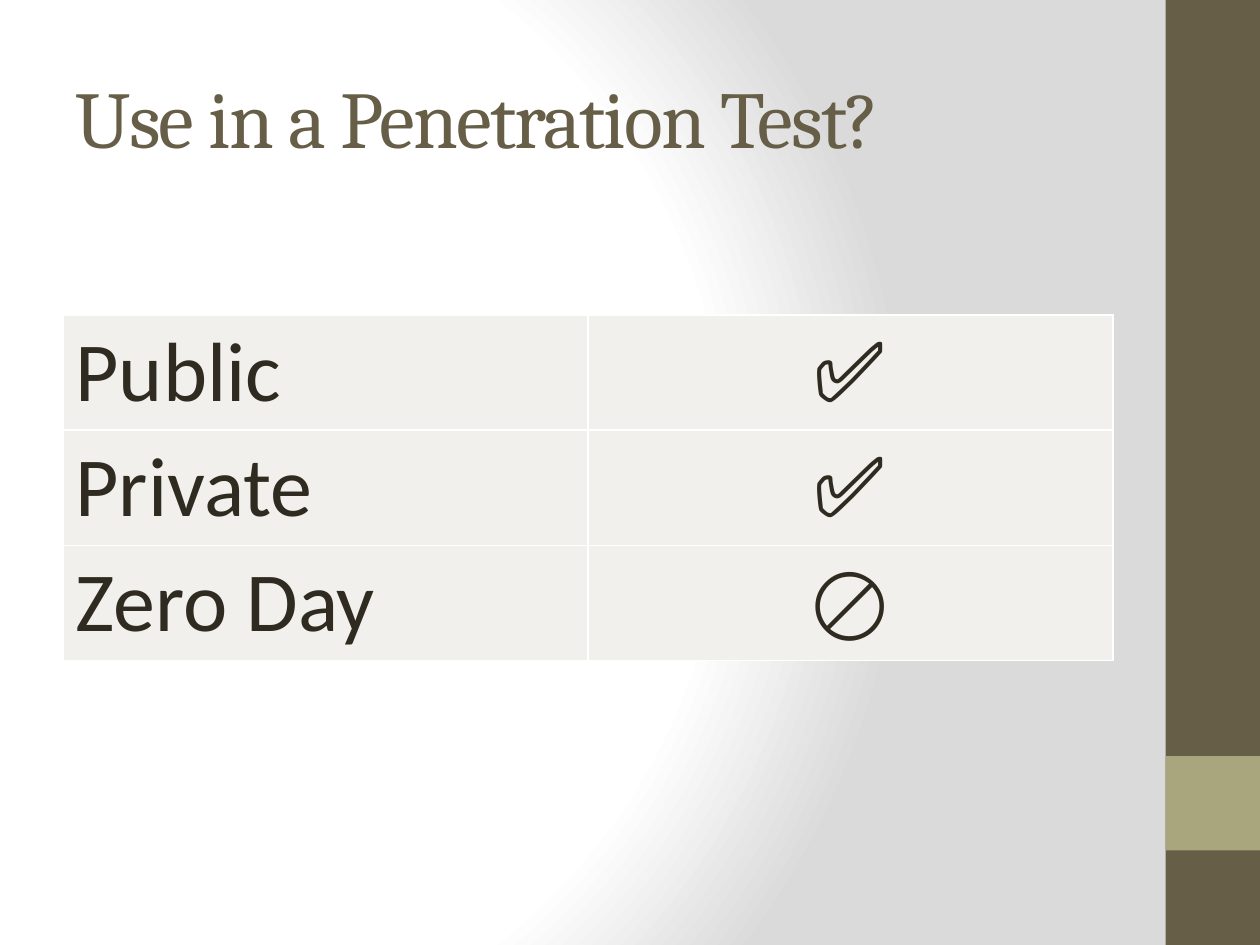
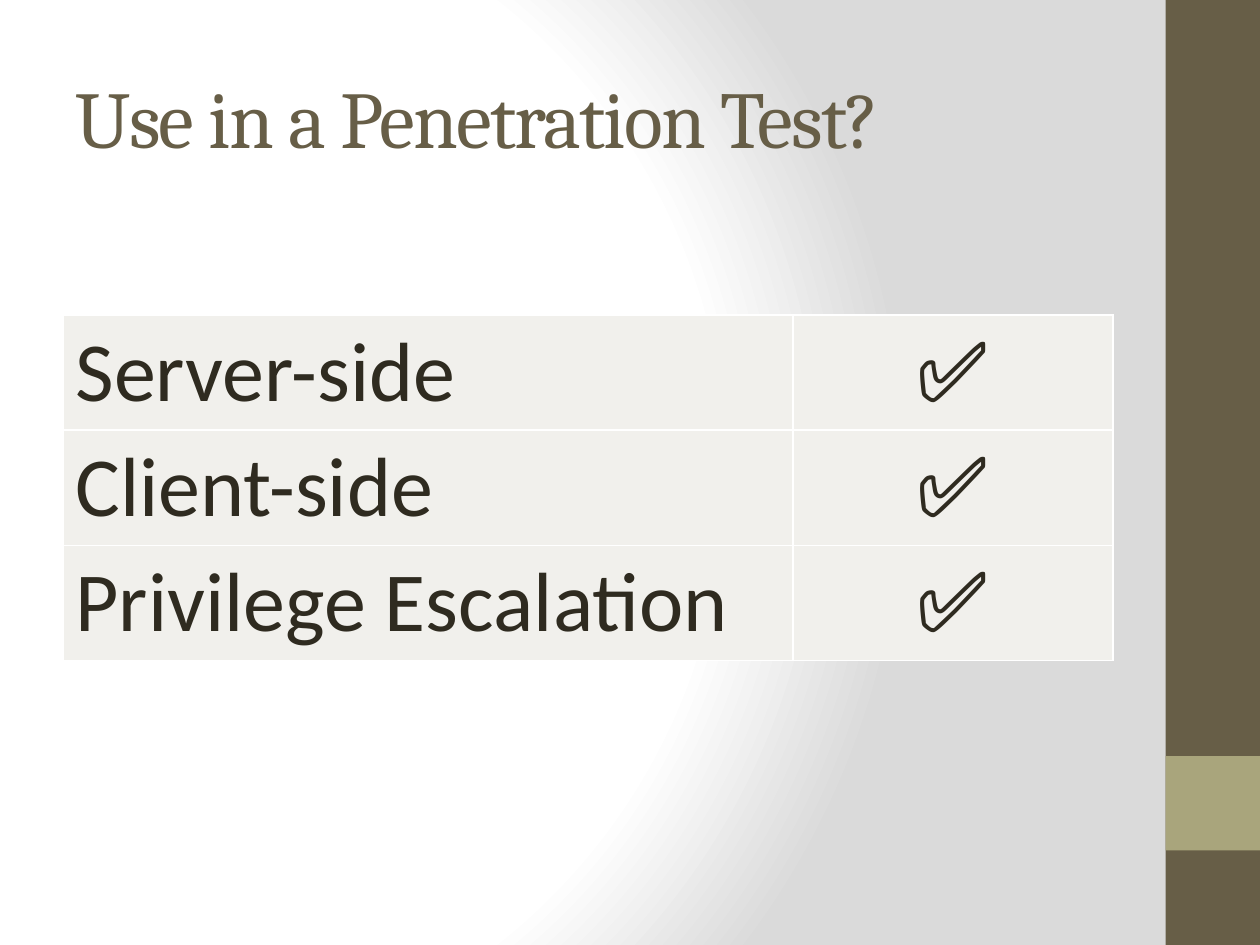
from dataclasses import dataclass

from lxml import etree
from pptx import Presentation
from pptx import util as u
from pptx.dml.color import RGBColor
from pptx.enum import shapes, text
from pptx.oxml import ns, parse_xml


@dataclass(frozen=True)
class Theme:
    dark: str = "675E47"
    light: str = "A9A57C"
    ink: str = "2F2B20"
    cell: str = "F1F0EC"
    rule: str = "FFFFFF"
    stops: tuple = ((0, "FFFFFF"), (75, "FFFFFF"), (100, "DADADA"))
    head: str = "Cambria"
    body: str = "Calibri"
    big: int = 46
    size: int = 48


T = Theme()
WIDE, HIGH = 25.4, 19.05
BAND = (23.5, 0, 1.9, HIGH)
HEAD = (1.27, 0.76, 21.17, 3.18)
GRID = (1.27, 6.35, 21.17, 6.96)
YES, NO = "✅", "🚫"
TITLE = "Use in a Penetration Test?"
PAGES = (
    (0.5, (("Public", YES), ("Private", YES), ("Zero Day", NO))),
    (0.695, (("Server-side", YES), ("Client-side", YES),
             ("Privilege Escalation", YES))),
)


def cm(box):
    return [u.Cm(v) for v in box]


def color(code):
    return RGBColor.from_string(code)


def write(para, words, font, size, code):
    run = para.add_run()
    run.text = words
    run.font.name = font
    run.font.size = u.Pt(size)
    run.font.color.rgb = color(code)
    return run


def paint(master):
    master.background.fill.gradient()
    old = master.element.find(".//" + ns.qn("a:gradFill"))
    stops = "".join(
        f'<a:gs pos="{pos * 1000}"><a:srgbClr val="{code}"/></a:gs>'
        for pos, code in T.stops)
    new = parse_xml(
        f'<a:gradFill {ns.nsdecls("a")} rotWithShape="1">'
        f'<a:gsLst>{stops}</a:gsLst><a:path path="circle">'
        '<a:fillToRect l="20000" t="50000" r="100000" b="50000"/>'
        '</a:path></a:gradFill>')
    old.getparent().replace(old, new)


def band(slide, box):
    left, top, width, height = box
    accent = (left, top + height * 0.8, width, height * 0.1)
    for part, code in ((box, T.dark), (accent, T.light)):
        rect = slide.shapes.add_shape(shapes.MSO_SHAPE.RECTANGLE, *cm(part))
        rect.shadow.inherit = False
        rect.fill.solid()
        rect.fill.fore_color.rgb = color(code)
        rect.line.fill.background()


def title(slide, box, words):
    head = slide.shapes.title
    head.left, head.top, head.width, head.height = cm(box)
    frame = head.text_frame
    frame.word_wrap = True
    frame.auto_size = text.MSO_AUTO_SIZE.NONE
    frame.vertical_anchor = text.MSO_ANCHOR.MIDDLE
    para = frame.paragraphs[0]
    para.alignment = text.PP_ALIGN.LEFT
    run = write(para, words, T.head, T.big, T.dark)
    run.font.element.set("spc", "-100") if hasattr(run.font, "element") \
        else run._r.get_or_add_rPr().set("spc", "-100")


def border(cell):
    props = cell._tc.get_or_add_tcPr()
    for spot, side in enumerate(("lnL", "lnR", "lnT", "lnB")):
        line = etree.Element(ns.qn("a:" + side), w=str(u.Pt(1)))
        fill = etree.SubElement(line, ns.qn("a:solidFill"))
        etree.SubElement(fill, ns.qn("a:srgbClr"), val=T.rule)
        props.insert(spot, line)


def grid(slide, box, share, rows):
    left, top, width, height = box
    table = slide.shapes.add_table(len(rows), 2, *cm(box)).table
    table.first_row = table.horz_banding = False
    for col, part in zip(table.columns, (share, 1 - share)):
        col.width = u.Cm(width * part)
    aligns = (text.PP_ALIGN.LEFT, text.PP_ALIGN.CENTER)
    for y, row in enumerate(rows):
        table.rows[y].height = u.Cm(height / len(rows))
        for x, words in enumerate(row):
            cell = table.cell(y, x)
            cell.fill.solid()
            cell.fill.fore_color.rgb = color(T.cell)
            border(cell)
            para = cell.text_frame.paragraphs[0]
            para.alignment = aligns[x]
            write(para, words, T.body, T.size, T.ink)


def page(deck, share, rows):
    slide = deck.slides.add_slide(deck.slide_layouts[5])
    band(slide, BAND)
    title(slide, HEAD, TITLE)
    grid(slide, GRID, share, rows)


def main():
    deck = Presentation()
    deck.slide_width, deck.slide_height = cm((WIDE, HIGH))
    paint(deck.slide_master)
    for share, rows in PAGES:
        page(deck, share, rows)
    deck.save("out.pptx")


if __name__ == "__main__":
    main()
